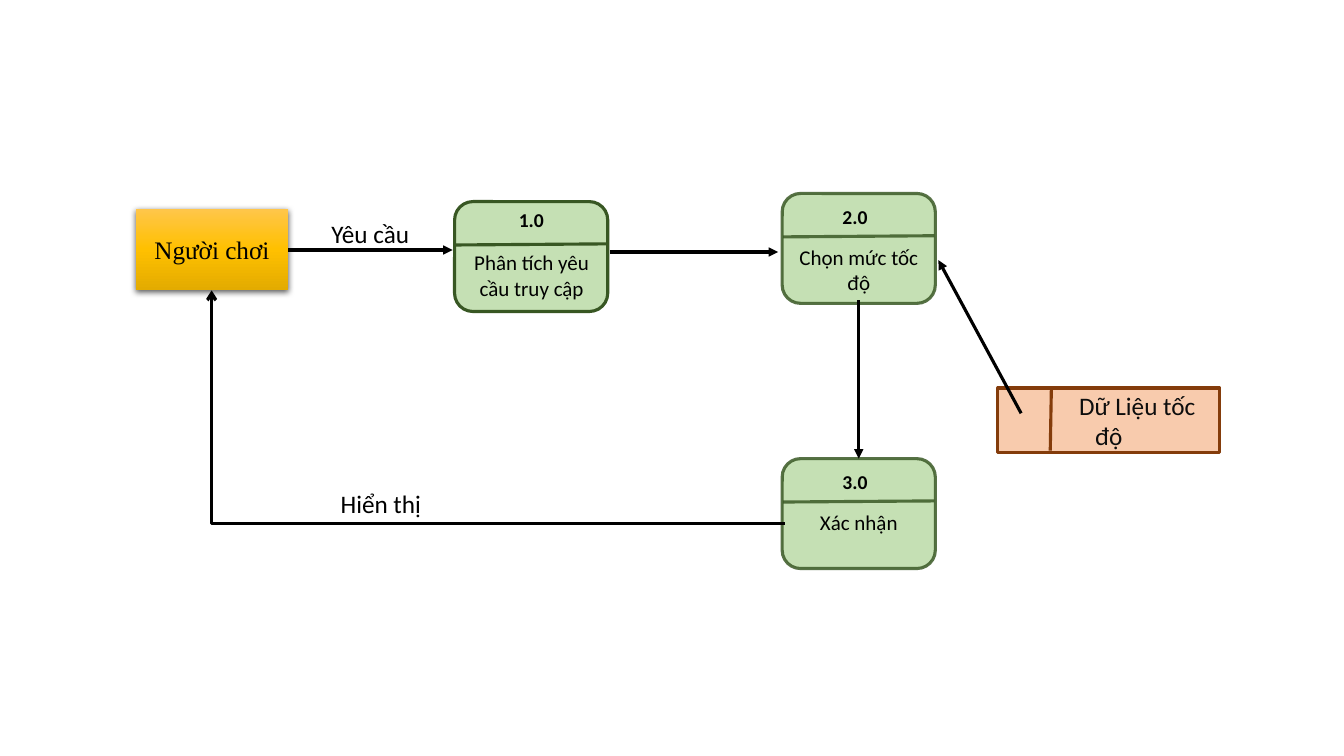
from lxml import etree
from pptx import Presentation
from pptx.dml.color import RGBColor
from pptx.enum import shapes, text
from pptx.oxml import parse_xml
from pptx.oxml.ns import qn, nsdecls
from pptx.util import Pt

BLACK = RGBColor(0, 0, 0)
INK = RGBColor(0x0D, 0x0D, 0x0D)
GREEN = RGBColor(0xC5, 0xE0, 0xB4)
DARK_GREEN = RGBColor(0x38, 0x57, 0x23)
PEACH = RGBColor(0xF8, 0xCB, 0xAD)
BROWN = RGBColor(0x84, 0x3C, 0x0B)
GOLDS = RGBColor(0xFF, 0xC6, 0x4B), RGBColor(0xFF, 0xC0, 0), RGBColor(0xE3, 0xAB, 0)
RECT = shapes.MSO_SHAPE.RECTANGLE
ROUND = shapes.MSO_SHAPE.ROUNDED_RECTANGLE


def set_line(sp, color, alpha=100):
    sp.line.color.rgb = color
    sp.line.width = Pt(2.25)
    if alpha < 100:
        clr = sp.line._ln.find(".//" + qn("a:srgbClr"))
        etree.SubElement(clr, qn("a:alpha")).set("val", str(alpha * 1000))


def add_line(s, x1, y1, x2, y2, color=BLACK, alpha=100, arrow=None, bent=False):
    kind = shapes.MSO_CONNECTOR.ELBOW if bent else shapes.MSO_CONNECTOR.STRAIGHT
    cxn = s.shapes.add_connector(kind, Pt(x1), Pt(y1), Pt(x2), Pt(y2))
    set_line(cxn, color, alpha)
    if arrow:
        etree.SubElement(cxn.line._ln, qn("a:tailEnd")).set("type", arrow)
    sp_pr = cxn._element.spPr
    if bent:
        sp_pr.find(qn("a:prstGeom")).set("prst", "bentConnector2")
    etree.SubElement(sp_pr, qn("a:effectLst"))


def add_box(s, kind, x, y, w, h, fill, line, alpha=100):
    sp = s.shapes.add_shape(kind, Pt(x), Pt(y), Pt(w), Pt(h))
    sp.shadow.inherit = False
    sp.fill.solid()
    sp.fill.fore_color.rgb = fill
    set_line(sp, line, alpha)
    return sp


def write(sp, words, size, font="Calibri", color=BLACK, bold=False, center=True):
    tf = sp.text_frame
    tf.word_wrap = True
    p = tf.paragraphs[0]
    p.alignment = text.PP_ALIGN.CENTER if center else text.PP_ALIGN.LEFT
    r = p.add_run()
    r.text = words
    r.font.size = Pt(size)
    r.font.name = font
    r.font.bold = bold
    r.font.color.rgb = color
    return p


def add_label(s, words, x, y, w, h, size=18, **style):
    write(s.shapes.add_textbox(Pt(x), Pt(y), Pt(w), Pt(h)), words, size, **style)


def player(s, x, y, w, h):
    sp = add_box(s, RECT, x, y, w, h, GOLDS[1], GOLDS[1])
    sp.line.fill.background()
    sp.fill.gradient()
    sp.fill.gradient_angle = 270
    gs_lst = sp._element.spPr.find(qn("a:gradFill")).find(qn("a:gsLst"))
    for gs in list(gs_lst):
        gs_lst.remove(gs)
    for pos, color in zip((0, 50000, 100000), GOLDS):
        gs = etree.SubElement(gs_lst, qn("a:gs"), pos=str(pos))
        etree.SubElement(gs, qn("a:srgbClr"), val=str(color))
    sp._element.spPr.find(qn("a:effectLst")).append(parse_xml(
        f'<a:outerShdw {nsdecls("a")} blurRad="{Pt(4.5)}" dist="{Pt(1.5)}" dir="5400000" '
        'algn="ctr" rotWithShape="0"><a:srgbClr val="000000"><a:alpha val="63000"/>'
        '</a:srgbClr></a:outerShdw>'))
    sp.text_frame.vertical_anchor = text.MSO_ANCHOR.MIDDLE
    write(sp, "Người chơi", 18, "Times New Roman")


def process(s, x, y, number, action, alpha=83, dx=6.5, dy=4.3, body_dx=2.2, body_dy=33.1,
            body_w=105.1):
    add_box(s, ROUND, x, y, 109.4, 78.5, GREEN, DARK_GREEN, alpha)
    add_line(s, x + 0.7, y + 31, x + 108.7, y + 30.2, DARK_GREEN, alpha)
    add_label(s, number, x + dx, y + dy, 91, 24.5, 14, bold=True)
    add_label(s, action, x + body_dx, y + body_dy, body_w, 43.2, 15)


def data_store(s, x, y, w, h):
    sp = add_box(s, RECT, x, y, w, h, PEACH, BROWN)
    sp.text_frame.vertical_anchor = text.MSO_ANCHOR.MIDDLE
    p = write(sp, "Dữ Liệu tốc độ", 18, color=INK)
    p_pr = p._p.get_or_add_pPr()
    p_pr.set("marL", "0")
    p_pr.set("indent", str(Pt(40.7)))
    add_line(s, x + 38.2, y, x + 37.4, y + h - 1.4, BROWN)


def flows(s):
    add_line(s, 205.9, 178.6, 323.3, 178.6, arrow="triangle")
    add_line(s, 435.6, 180, 555.8, 180, arrow="triangle")
    add_line(s, 613.4, 214.6, 613.4, 327.6, arrow="triangle")
    add_line(s, 560.5, 373.7, 151.2, 207.4, arrow="arrow", bent=True)
    add_line(s, 729.4, 295.2, 670.3, 185.8, arrow="triangle")
    add_label(s, "Yêu cầu", 229.7, 152.6, 74.9, 28.8, center=False)
    add_label(s, "Hiển thị", 236.2, 345.6, 77.8, 28.8, center=False)


def main():
    prs = Presentation()
    prs.slide_width, prs.slide_height = Pt(960), Pt(540)
    s = prs.slides.add_slide(prs.slide_layouts[6])
    player(s, 97.2, 149, 108.4, 58.3)
    process(s, 324.7, 144, "1.0", "Phân tích yêu cầu truy cập", 100, 9.4, 0.7, 0.7, 31, 108.7)
    process(s, 558.7, 138.2, "2.0", "Chọn mức tốc độ")
    process(s, 558.7, 327.6, "3.0", "Xác nhận")
    data_store(s, 712.8, 277.2, 158.4, 46.1)
    flows(s)
    prs.save("out.pptx")


if __name__ == "__main__":
    main()
